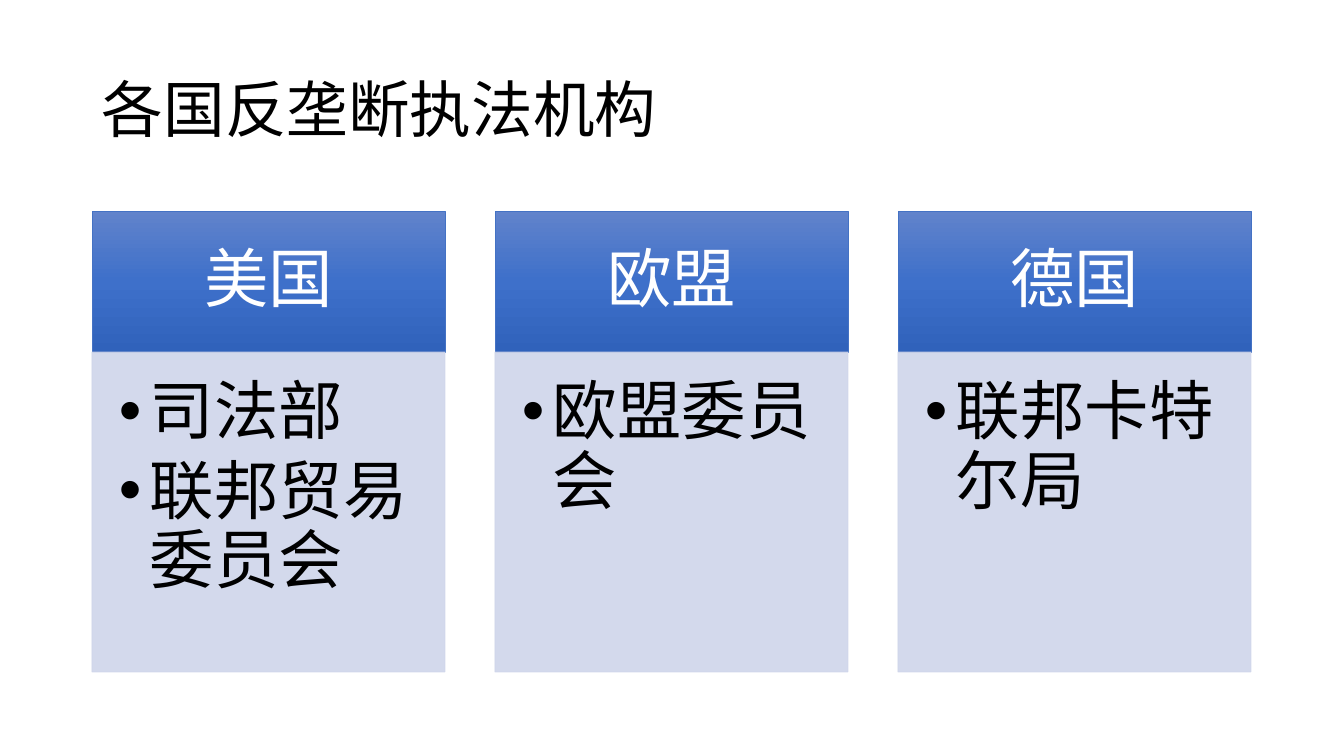
"""Build a slide listing the antitrust authorities of three jurisdictions."""
import copy
from lxml import etree
from pptx import Presentation
from pptx.dml.color import RGBColor
from pptx.enum.shapes import MSO_SHAPE
from pptx.enum.text import MSO_ANCHOR, PP_ALIGN
from pptx.oxml.ns import qn
from pptx.util import Emu, Pt

BLACK = RGBColor(0, 0, 0)
WHITE = RGBColor(0xFF, 0xFF, 0xFF)
HEADER_LINE = RGBColor(0x44, 0x72, 0xC4)
HEADER_STOPS = [
    (0, RGBColor(0x61, 0x83, 0xCB)),
    (0.5, RGBColor(0x3E, 0x70, 0xCA)),
    (1, RGBColor(0x30, 0x62, 0xBB)),
]
PANEL = RGBColor(0xCF, 0xD5, 0xEA)

AUTHORITIES = [
    ("美国", ["司法部", "联邦贸易委员会"]),
    ("欧盟", ["欧盟委员会"]),
    ("德国", ["联邦卡特尔局"]),
]
LEFT, PITCH, WIDTH = 92, 403, 353
HEADER_TOP, HEADER_HEIGHT, PANEL_HEIGHT = 211, 141, 320


def px(pixels):
    return Emu(round(pixels * 914400 / 100.8))


def write(shape, lines, size, color, align, anchor, insets, space_after=0):
    frame = shape.text_frame
    frame.word_wrap = True
    frame.vertical_anchor = anchor
    frame.margin_left, frame.margin_top, frame.margin_right, frame.margin_bottom = map(px, insets)
    frame.text = "\n".join(lines)
    for paragraph in frame.paragraphs:
        paragraph.alignment = align
        paragraph.line_spacing = 0.9
        paragraph.space_before = Pt(0)
        paragraph.space_after = Pt(space_after)
        font = paragraph.runs[0].font
        font.name, font.size, font.color.rgb = "Calibri", Pt(size), color


prs = Presentation()
prs.slide_width, prs.slide_height = px(1344), px(756)
slide = prs.slides.add_slide(prs.slide_layouts[5])

title = slide.shapes.title
title.left, title.top, title.width, title.height = px(92), px(40), px(1159), px(146)
write(title, ["各国反垄断执法机构"], 44, BLACK, PP_ALIGN.LEFT, MSO_ANCHOR.MIDDLE, (10, 5, 10, 5))

for column, (region, agencies) in enumerate(AUTHORITIES):
    left = px(LEFT + column * PITCH)
    header = slide.shapes.add_shape(
        MSO_SHAPE.RECTANGLE, left, px(HEADER_TOP), px(WIDTH), px(HEADER_HEIGHT))
    panel = slide.shapes.add_shape(
        MSO_SHAPE.RECTANGLE, left, px(HEADER_TOP + HEADER_HEIGHT), px(WIDTH), px(PANEL_HEIGHT))
    for shape in (header, panel):
        shape.shadow.inherit = False
        shape.line.width = Pt(0.5)

    header.line.color.rgb = HEADER_LINE
    header.fill.gradient()
    header.fill.gradient_angle = 270
    stop_list = header.fill._fill._gradFill.find(qn("a:gsLst"))
    stop_list.insert(1, copy.deepcopy(stop_list[0]))
    for stop, (position, color) in zip(header.fill.gradient_stops, HEADER_STOPS):
        stop.position, stop.color.rgb = position, color
    write(header, [region], 46, WHITE, PP_ALIGN.CENTER, MSO_ANCHOR.MIDDLE, (36, 20, 36, 20))

    panel.fill.solid()
    panel.fill.fore_color.rgb = PANEL
    panel.line.color.rgb = PANEL
    for color in panel._element.spPr.iter(qn("a:srgbClr")):
        etree.SubElement(color, qn("a:alpha"), val="90000")
    write(panel, agencies, 46, BLACK, PP_ALIGN.LEFT, MSO_ANCHOR.TOP, (27, 27, 36, 40), 7)
    for paragraph in panel.text_frame.paragraphs:
        properties = paragraph._p.get_or_add_pPr()
        properties.set("marL", str(px(31)))
        properties.set("indent", str(-px(31)))
        etree.SubElement(properties, qn("a:buFont"), typeface="Arial")
        etree.SubElement(properties, qn("a:buChar"), char="•")

prs.save("out.pptx")
